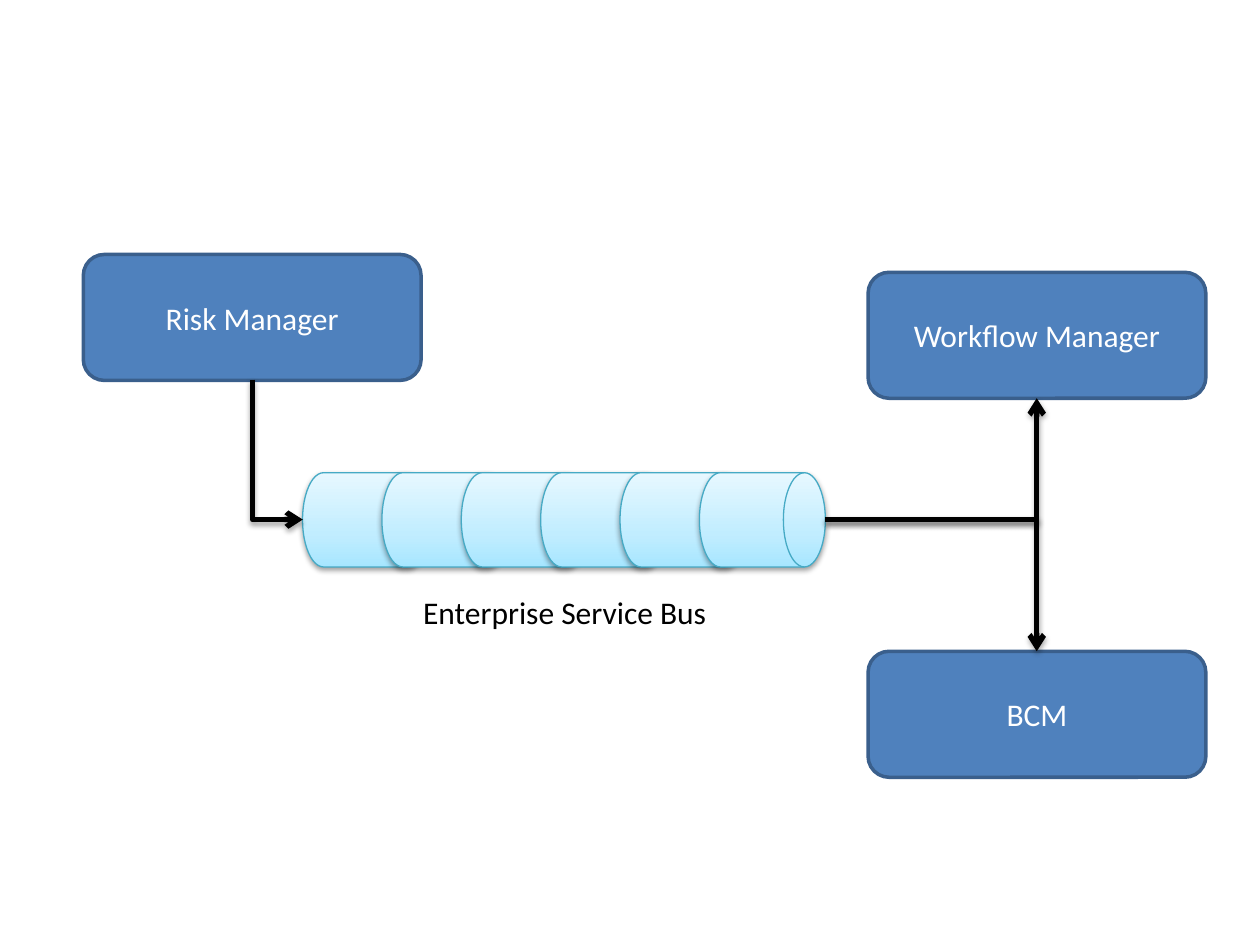
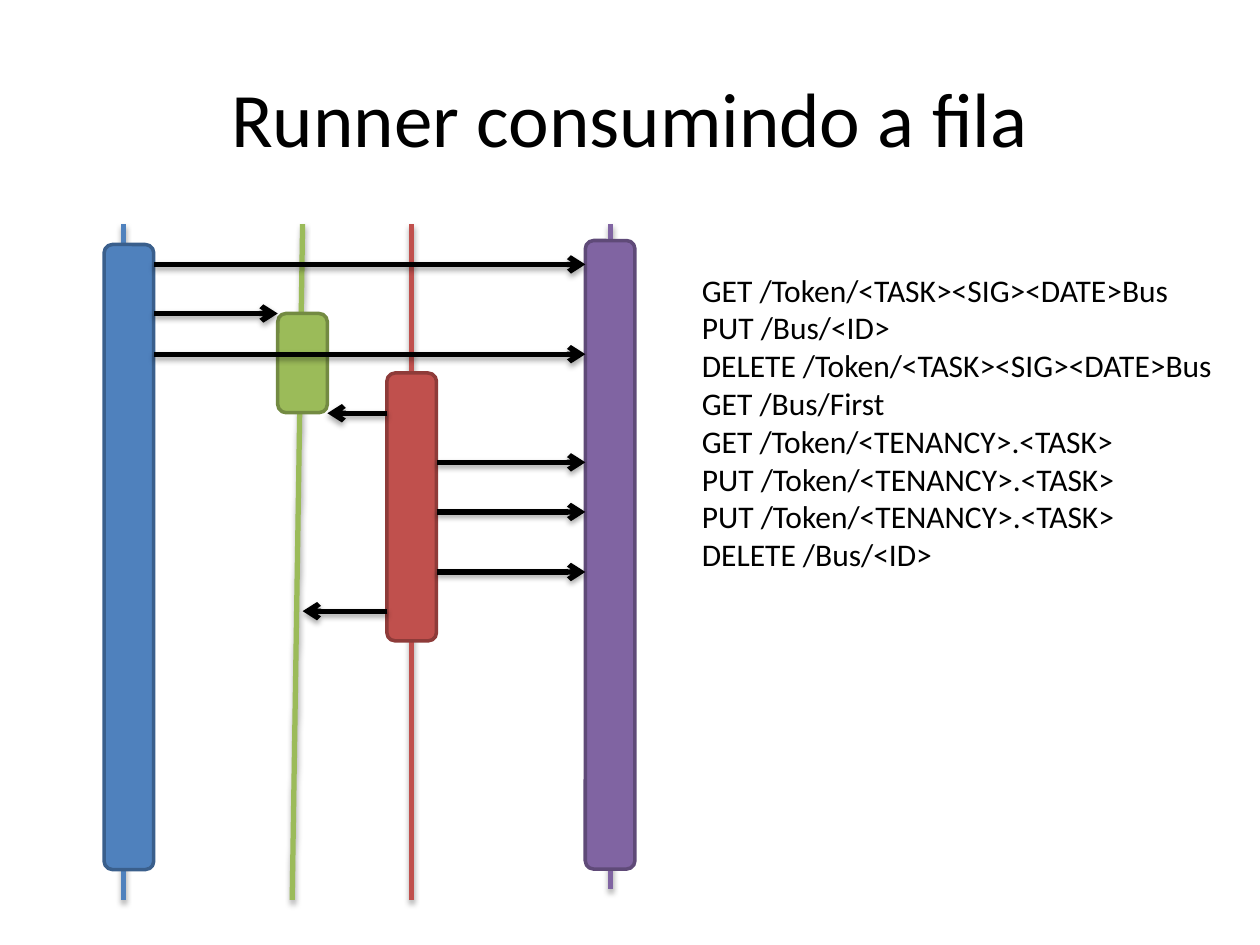
"""Build two slides: a service bus diagram and a queue consumer sequence."""
from copy import deepcopy

from lxml import etree
from pptx import Presentation
from pptx import util as u
from pptx.dml import color as dml
from pptx.enum import shapes, text
from pptx.oxml import ns

BLACK, WHITE = "000000", "FFFFFF"
BLUE, BLUE_EDGE = "4F81BD", "3A5F8C"
GREEN, GREEN_EDGE = "9BBB59", "738A42"
RED, RED_EDGE = "C0504D", "8E3B39"
PURPLE, PURPLE_EDGE = "8064A2", "5F4A78"
FONT = "Calibri"
STRAIGHT, ELBOW = shapes.MSO_CONNECTOR.STRAIGHT, shapes.MSO_CONNECTOR.ELBOW
shadowed = []


def rgb(value):
    return dml.RGBColor.from_string(value)


def draw_line(slide, ends, color, arrow=False, kind=STRAIGHT):
    line = slide.shapes.add_connector(kind, *[u.Cm(v) for v in ends])
    line.line.color.rgb = rgb(color)
    line.line.width = u.Pt(3)
    if arrow:
        stroke = line.line._get_or_add_ln()
        etree.SubElement(stroke, ns.qn("a:tailEnd")).set("type", "arrow")
    shadowed.append((line, 23000, 35000))
    return line


prs = Presentation()
prs.slide_width, prs.slide_height = u.Cm(25.4), u.Cm(19.05)
bus_slide, runner_slide = [prs.slides.add_slide(prs.slide_layouts[6]) for _ in range(2)]

for segment in range(6):
    drum = bus_slide.shapes.add_shape(
        shapes.MSO_SHAPE.FLOWCHART_DIRECT_ACCESS_STORAGE,
        u.Cm(6.1 + 1.6 * segment), u.Cm(9.53), u.Cm(2.54), u.Cm(1.9))
    drum.fill.gradient()
    drum.fill.gradient_angle = 90
    stops = drum._element.spPr.find(".//" + ns.qn("a:gsLst"))
    stops.insert(1, deepcopy(stops[0]))
    shades = [(0, "A7E6FF"), (0.35, "C1EDFF"), (1, "E7F8FF")]
    for stop, (position, shade) in zip(drum.fill.gradient_stops, shades):
        stop.position = position
        stop.color.rgb = rgb(shade)
    drum.line.color.rgb = rgb("46AAC5")
    drum.line.width = u.Pt(0.75)
    shadowed.append((drum, 20000, 38000))

for top_x, bottom_x, bottom_y, color in [
    (2.49, 2.49, 18.14, BLUE),
    (6.1, 5.89, 18.14, GREEN),
    (8.3, 8.3, 18.14, RED),
    (12.3, 12.3, 17.93, PURPLE),
]:
    draw_line(runner_slide, (top_x, 4.52, bottom_x, bottom_y), color)

for slide, place, fill, edge, label in [
    (bus_slide, (1.68, 5.13, 6.81, 2.54), BLUE, BLUE_EDGE, "Risk Manager"),
    (bus_slide, (17.5, 5.49, 6.81, 2.54), BLUE, BLUE_EDGE, "Workflow Manager"),
    (bus_slide, (17.5, 13.13, 6.81, 2.54), BLUE, BLUE_EDGE, "BCM"),
    (runner_slide, (2.1, 4.93, 1, 12.6), BLUE, BLUE_EDGE, ""),
    (runner_slide, (5.6, 6.32, 1, 2), GREEN, GREEN_EDGE, ""),
    (runner_slide, (7.8, 7.52, 1, 5.4), RED, RED_EDGE, ""),
    (runner_slide, (11.8, 4.85, 1, 12.67), PURPLE, PURPLE_EDGE, ""),
]:
    box = slide.shapes.add_shape(
        shapes.MSO_SHAPE.ROUNDED_RECTANGLE, *[u.Cm(v) for v in place])
    box.shadow.inherit = False
    box.fill.solid()
    box.fill.fore_color.rgb = rgb(fill)
    box.line.color.rgb = rgb(edge)
    box.line.width = u.Pt(2)
    if label:
        box.text_frame.text = label
        caption = box.text_frame.paragraphs[0]
        caption.alignment = text.PP_ALIGN.CENTER
        caption.font.name, caption.font.size = FONT, u.Pt(18)
        caption.font.color.rgb = rgb(WHITE)

for ends, rotation in [
    ((7.01, 8.56, 4.19, 9.57), 270),
    ((16.64, 10.48, 20.9, 8.03), 0),
    ((16.64, 10.48, 20.9, 13.13), 0),
]:
    route = draw_line(bus_slide, ends, BLACK, True, ELBOW)
    properties = route._element.spPr
    properties.find(ns.qn("a:prstGeom")).set("prst", "bentConnector2")
    properties.find(ns.qn("a:xfrm")).set("rot", str(rotation * 60000))

for start, end, y in [
    (3.1, 11.8, 5.33),
    (3.1, 5.6, 6.32),
    (3.1, 11.8, 7.14),
    (7.8, 6.6, 8.33),
    (8.8, 11.8, 9.32),
    (8.8, 11.8, 10.32),
    (8.8, 11.8, 11.53),
    (7.8, 6.1, 12.32),
]:
    draw_line(runner_slide, (start, y, end, y), BLACK, True)

calls = [
    "GET /Token/<TASK><SIG><DATE>Bus",
    "PUT /Bus/<ID>",
    "DELETE /Token/<TASK><SIG><DATE>Bus",
    "GET /Bus/First",
    "GET /Token/<TENANCY>.<TASK>",
    "PUT /Token/<TENANCY>.<TASK>",
    "PUT /Token/<TENANCY>.<TASK>",
    "DELETE /Bus/<ID>",
]
LEFT, CENTER = text.PP_ALIGN.LEFT, text.PP_ALIGN.CENTER
TOP, MIDDLE = text.MSO_ANCHOR.TOP, text.MSO_ANCHOR.MIDDLE
for slide, place, lines, size, align, anchor, wrap in [
    (bus_slide, (8.28, 11.84, 7.14, 1.02), ["Enterprise Service Bus"], 18, LEFT, TOP, True),
    (runner_slide, (1.27, 0.76, 22.86, 3.18), ["Runner consumindo a fila"], 44, CENTER, MIDDLE, True),
    (runner_slide, (13.9, 5.33, 10.9, 7.95), calls, 18, LEFT, TOP, False),
]:
    frame = slide.shapes.add_textbox(*[u.Cm(v) for v in place]).text_frame
    frame.word_wrap, frame.vertical_anchor = wrap, anchor
    frame.text = "\n".join(lines)
    for paragraph in frame.paragraphs:
        paragraph.alignment = align
        paragraph.font.name, paragraph.font.size = FONT, u.Pt(size)
        paragraph.font.color.rgb = rgb(BLACK)

for part, distance, opacity in shadowed:
    effects = etree.SubElement(part._element.spPr, ns.qn("a:effectLst"))
    shadow = etree.SubElement(
        effects, ns.qn("a:outerShdw"), blurRad="40000", dist=str(distance),
        dir="5400000", rotWithShape="0")
    tint = etree.SubElement(shadow, ns.qn("a:srgbClr"), val=BLACK)
    etree.SubElement(tint, ns.qn("a:alpha"), val=str(opacity))

prs.save("out.pptx")
